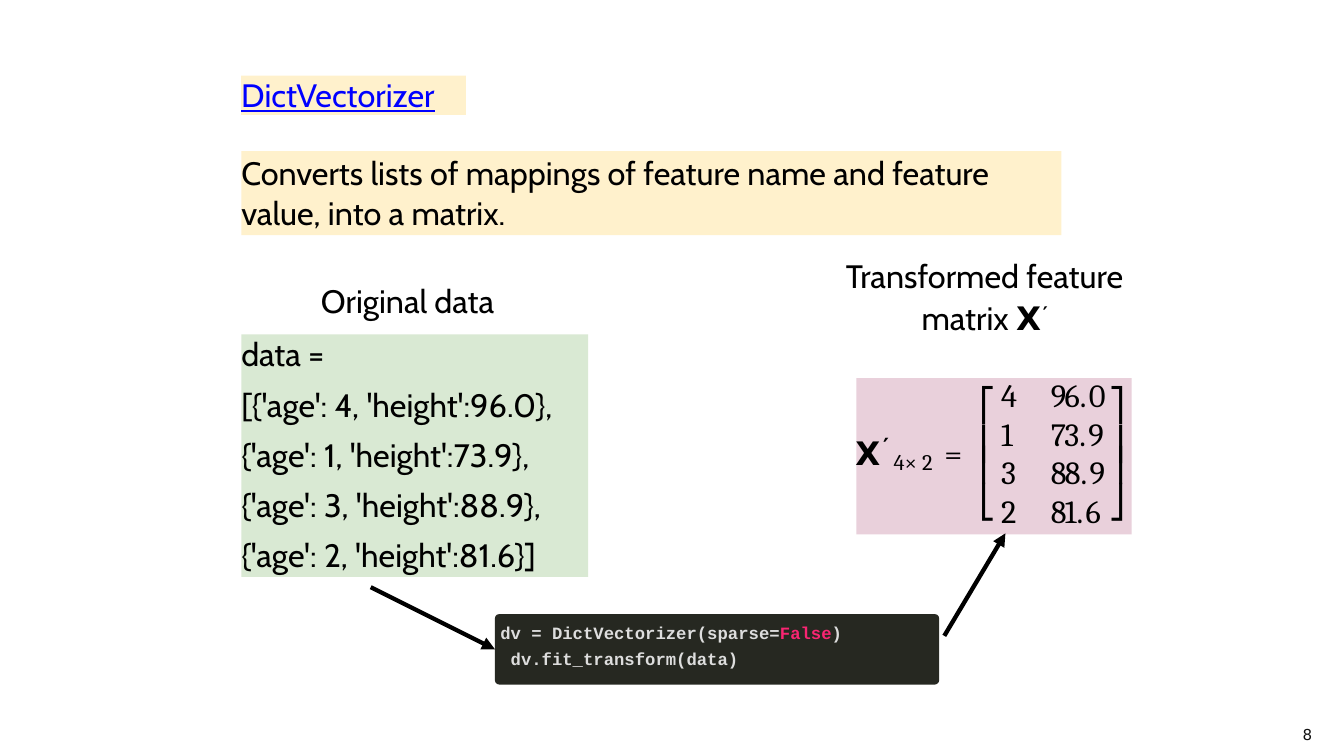
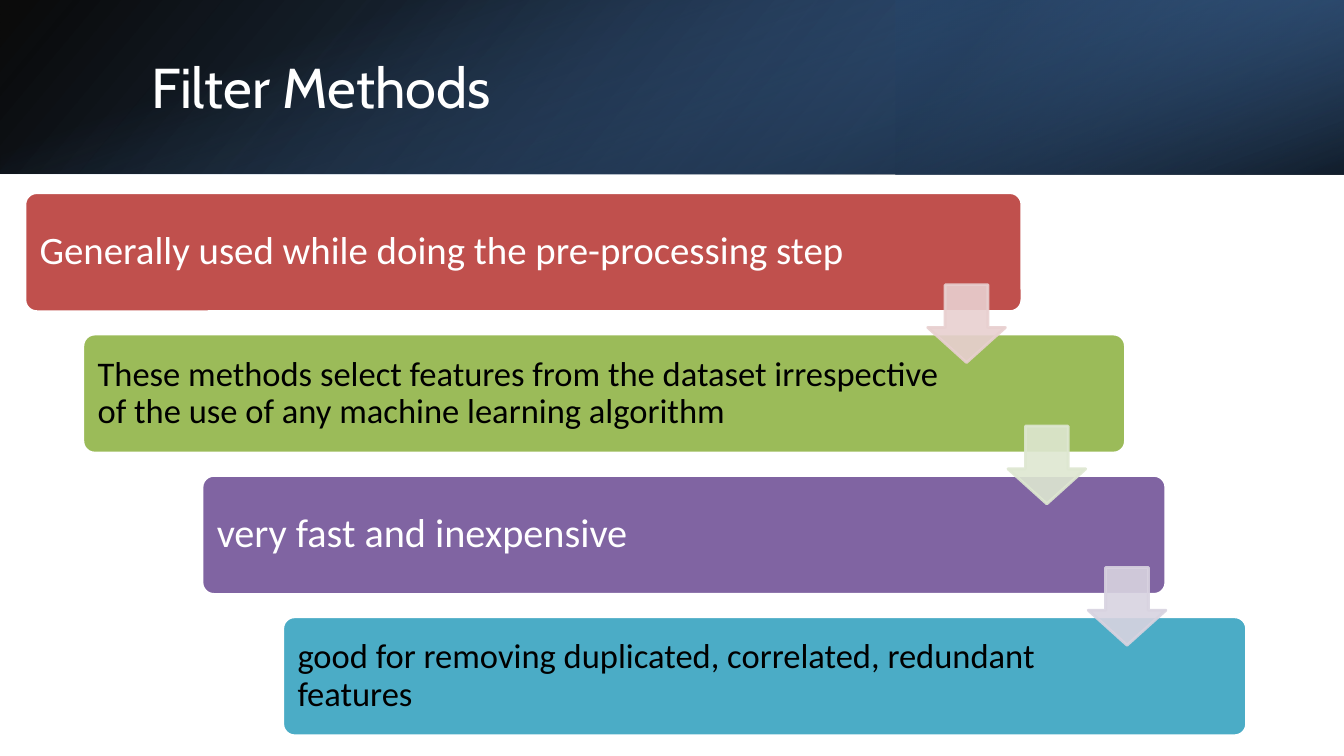
from lxml import etree
from pptx import Presentation
from pptx import util as u
from pptx.dml import color as dml
from pptx.enum import shapes as es, text as et
from pptx.oxml import ns, parse_xml

INCH, PT = u.Inches, u.Pt
BODY, MATH, SANS, MONO, PLAIN = "Cabin", "Cambria", "DejaVu Sans", "Courier New", "Calibri"
BLACK, WHITE, CREAM = "000000", "FFFFFF", "FFF1CC"
SIZE = 22.5
KIND = es.MSO_SHAPE


def rgb(code):
    """Turn a hex string into a colour."""
    return dml.RGBColor.from_string(code)


def style(run, over):
    """Apply the settings in which a run differs from its paragraph."""
    font = run.font
    if "color" in over:
        font.color.rgb = rgb(over["color"])
    if "face" in over:
        font.name = over["face"]
    if "bold" in over:
        font.bold = over["bold"]
    for key, scale in (("spc", 100), ("baseline", 1000)):
        if key in over:
            font._element.set(key, str(round(over[key] * scale)))


def write(shape, lines, size=SIZE, face=BODY, color=BLACK, bold=None, line=None,
          gap=0, align=et.PP_ALIGN.LEFT, tab=None, pad=(0, 0, 0, 0),
          anchor=et.MSO_ANCHOR.TOP, under=None):
    """Fill a shape with paragraphs, each a string or a list of (text, settings)."""
    frame = shape.text_frame
    frame.word_wrap = True
    frame.vertical_anchor = anchor
    (frame.margin_left, frame.margin_top,
     frame.margin_right, frame.margin_bottom) = map(INCH, pad)
    for i, parts in enumerate(lines):
        para = frame.add_paragraph() if i else frame.paragraphs[0]
        if tab:
            tabs = etree.SubElement(para._p.get_or_add_pPr(), ns.qn("a:tabLst"))
            etree.SubElement(tabs, ns.qn("a:tab"), pos=str(INCH(tab)), algn="l")
        para.alignment = align
        if line:
            para.line_spacing = line
        if i and gap:
            para.space_before = PT(gap)
        font = para.font
        font.size, font.name, font.bold, font.underline = PT(size), face, bold, under
        font.color.rgb = rgb(color)
        for words, over in [(parts, {})] if isinstance(parts, str) else parts:
            run = para.add_run()
            run.text = words
            style(run, over)


def label(slide, box, lines, **kw):
    """Add a text box."""
    shape = slide.shapes.add_textbox(*map(INCH, box))
    write(shape, lines, **{"pad": (0, 0.02, 0, 0), **kw})


def block(slide, box, fill, kind=KIND.RECTANGLE, adj=(), edge=None):
    """Add a filled preset shape."""
    shape = slide.shapes.add_shape(kind, *map(INCH, box))
    shape.shadow.inherit = False
    for i, value in enumerate(adj):
        shape.adjustments[i] = value
    if fill:
        shape.fill.solid()
        shape.fill.fore_color.rgb = rgb(fill)
    if edge:
        shape.line.color.rgb = rgb(edge)
        shape.line.width = PT(2)
    else:
        shape.line.fill.background()
    return shape


def fade(shape, share):
    """Make the fill and line of a shape partly opaque."""
    for tint in shape._element.spPr.iter(ns.qn("a:srgbClr")):
        etree.SubElement(tint, ns.qn("a:alpha"), val=str(share * 1000))


def blend(slide, box, stops, angle, turn=0, flip=False):
    """Add a rectangle with a translucent gradient."""
    shape = block(slide, box, None)
    shape.rotation = turn
    props = shape._element.spPr
    if flip:
        props.xfrm.set("flipH", "1")
    marks = "".join(
        f'<a:gs pos="{pos * 1000}"><a:srgbClr val="{tint}">'
        f'<a:alpha val="{share * 1000}"/></a:srgbClr></a:gs>'
        for pos, tint, share in stops)
    props.find(ns.qn("a:prstGeom")).addnext(parse_xml(
        f'<a:gradFill {ns.nsdecls("a")} rotWithShape="1"><a:gsLst>{marks}</a:gsLst>'
        f'<a:lin ang="{angle * 60000}" scaled="0"/></a:gradFill>'))


def arrow(slide, start, end, goal=None):
    """Draw a black arrow, joined to the left side of a goal if given."""
    link = slide.shapes.add_connector(es.MSO_CONNECTOR.STRAIGHT, *map(INCH, start + end))
    if goal:
        link.end_connect(goal, 1)
    link.line.color.rgb = rgb(BLACK)
    link.line.width = PT(3)
    etree.SubElement(link.line._get_or_add_ln(), ns.qn("a:tailEnd"),
                     type="triangle", w="med", len="med")
    etree.SubElement(link._element.spPr, ns.qn("a:effectLst"))


def matrix(slide):
    """Set the transformed matrix with its name and brackets."""
    block(slide, (8.27, 3.65, 2.66, 1.51), "E9D0DB")
    label(slide, (8.26, 4.16, 0.32, 0.4), ["X"], face=SANS, bold=True)
    label(slide, (9.12, 4.16, 0.27, 0.4), ["="], face=MATH)
    label(slide, (8.53, 4.15, 0.12, 0.28), ["′"], size=15.5, face=SANS, bold=True)
    label(slide, (8.63, 4.31, 0.48, 0.28),
          [[("4", {"spc": -0.8}), ("×", {"spc": 3.6}), ("2", {"spc": -0.8})]],
          size=15.5, face=MATH)
    for left, glyphs in ((9.46, "⎣⎢⎢⎡"), (10.71, "⎦⎥⎥⎤")):
        for top, glyph in zip((4.63, 4.27, 4.07, 3.69), glyphs):
            label(slide, (left, top, 0.24, 0.4), [glyph], face=MATH)
    rows = [("4\t96", "0"), ("1\t73", "9"), ("3\t88", "9"), ("2\t81", "6")]
    tight, wide = {"spc": -1.2}, {"spc": 1.6}
    label(slide, (9.67, 3.6, 1.06, 1.53),
          [[(whole, tight), (".", wide), (part, tight)] for whole, part in rows],
          face=MATH, tab=0.48)


def vector(slide):
    """Build the slide on turning mappings into a matrix."""
    write(block(slide, (2.33, 0.73, 2.17, 0.38), CREAM), ["DictVectorizer"],
          color="0000FF", under=True)
    write(block(slide, (2.33, 1.46, 7.92, 0.81), CREAM),
          ["Converts lists of mappings of feature name and feature value, into a matrix."],
          line=1.04)
    matrix(slide)
    label(slide, (3.1, 2.69, 1.8, 0.4), ["Original data"])
    label(slide, (8.13, 2.42, 2.76, 0.8),
          [[("Transformed feature matrix ", {}), ("X", {"face": SANS, "bold": True, "spc": 1.1}),
            ("′", {"face": SANS, "bold": True, "baseline": 29})]],
          line=1.08, align=et.PP_ALIGN.CENTER)
    code = block(slide, (4.78, 5.93, 4.29, 0.68), "262821", KIND.ROUNDED_RECTANGLE, (0.06,))
    write(code, [[("dv = DictVectorizer(sparse=", {}), ("False", {"color": "F92572"}), (")", {})],
                 " dv.fit_transform(data)"],
          size=12, face=MONO, color="DDDDDD", bold=True, line=1.25, pad=(0.04, 0.02, 0, 0))
    arrow(slide, (3.58, 5.67), (4.78, 6.27), code)
    arrow(slide, (9.12, 6.14), (9.71, 5.15))
    write(block(slide, (2.33, 3.23, 3.35, 2.34), "D9E9D3"),
          ["data =", "[{'age': 4, 'height':96.0},", "{'age': 1, 'height':73.9},",
           "{'age': 3, 'height':88.9},", "{'age': 2, 'height':81.6}]"], gap=7.9)
    label(slide, (12.58, 6.98, 0.28, 0.18), ["8"], size=10.5, face=SANS, color="111111")


def filters(slide):
    """Build the slide with the staircase of filter methods."""
    blend(slide, (0, 0, 12.98, 1.68), [(0, BLACK, 96), (100, "376092", 100)], 140, flip=True)
    blend(slide, (8.65, 0, 4.33, 1.68), [(19, "254061", 68), (100, "4F81BD", 79)], 320,
          turn=180, flip=True)
    blend(slide, (5.65, -5.65, 1.68, 12.98), [(23, "4F81BD", 0), (99, BLACK, 74)], 340, turn=90)
    label(slide, (1.46, 0.37, 10.69, 0.93), ["Filter Methods"], size=39, color=WHITE,
          anchor=et.MSO_ANCHOR.MIDDLE, pad=(0, 0, 0, 0))
    steps = [
        (0.24, 9.63, "C0504D", WHITE, 27, "Generally used while doing the pre-processing step"),
        (0.8, 10.07, "9BBB59", BLACK, 24, "These methods select features from the dataset "
         "irrespective of the use of any machine learning algorithm"),
        (1.95, 9.31, "8064A2", WHITE, 28, "very fast and inexpensive"),
        (2.73, 9.31, "4BACC6", BLACK, 24,
         "good for removing duplicated, correlated, redundant features"),
    ]
    pitch = 1.365
    for i, (left, width, fill, ink, size, words) in enumerate(steps):
        step = block(slide, (left, 1.86 + i * pitch, width, 1.15), fill,
                     KIND.ROUNDED_RECTANGLE, (0.1,), WHITE)
        write(step, [words], size=size, face=PLAIN, color=ink, line=0.9,
              pad=(0.11, 0.1, 1.6, 0.1), anchor=et.MSO_ANCHOR.MIDDLE)
    for i, tint in enumerate(("E8D0D0", "DEE7D1", "D8D3E0")):
        drop = block(slide, (8.96 + i * 0.775, 2.75 + i * pitch, 0.75, 0.75), tint,
                     KIND.DOWN_ARROW, (0.45, 0.55), tint)
        drop.adjustments[0], drop.adjustments[1] = 0.55, 0.45
        fade(drop, 90)


def main():
    """Build and save the deck."""
    deck = Presentation()
    deck.slide_width, deck.slide_height = INCH(12.98), INCH(7.3)
    for build in (vector, filters):
        build(deck.slides.add_slide(deck.slide_layouts[6]))
    deck.save("out.pptx")


if __name__ == "__main__":
    main()
